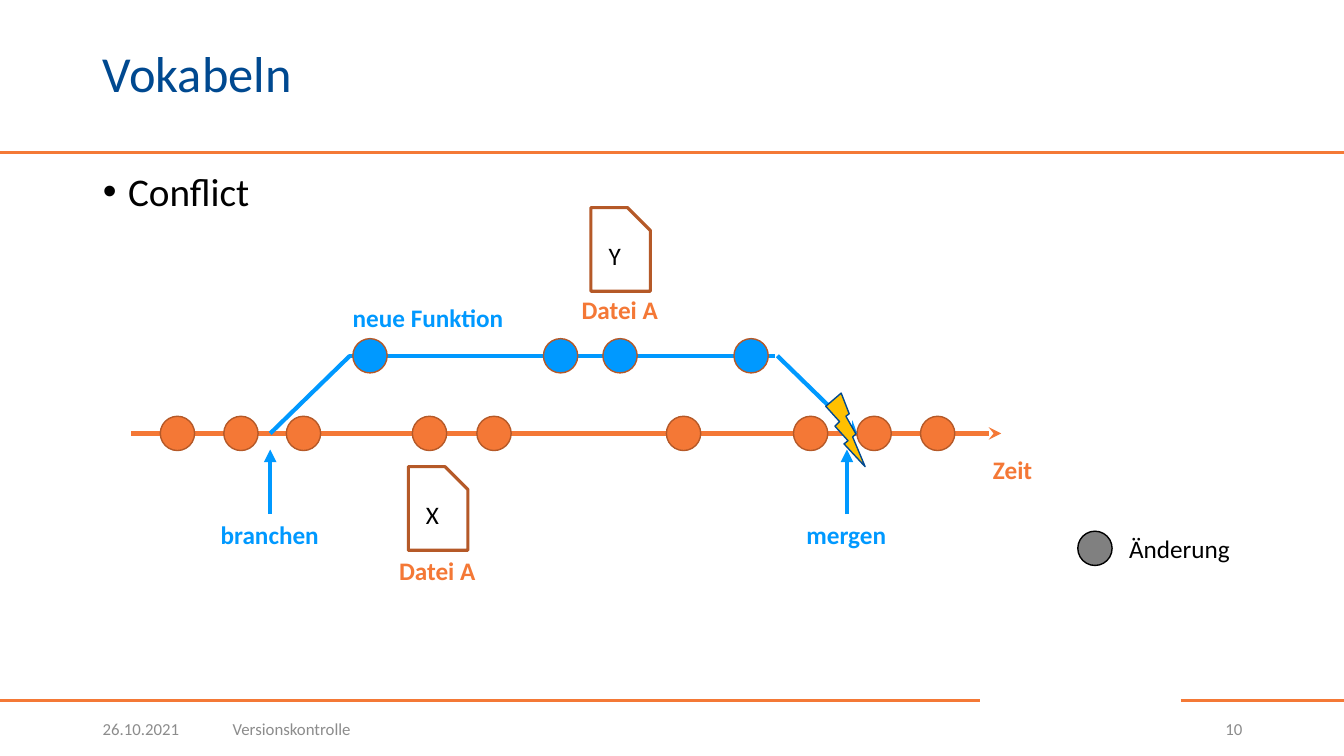
from dataclasses import dataclass
from typing import NamedTuple, Optional

from lxml.etree import SubElement
from pptx import Presentation
from pptx.dml.color import RGBColor
from pptx.enum.shapes import MSO_CONNECTOR, MSO_SHAPE
from pptx.enum.text import MSO_ANCHOR, MSO_AUTO_SIZE, PP_ALIGN
from pptx.oxml.ns import qn
from pptx.util import Pt

EMU_PER_PX = 9144  # 100 px to the inch


@dataclass(frozen=True)
class Theme:
    font: str = "Calibri"
    title: str = "004990"
    text: str = "000000"
    footer: str = "8C8C8C"
    rule: str = "F47936"
    main: str = "F47836"
    branch: str = "0099FF"
    outline: str = "B55928"
    change: str = "808080"
    paper: str = "FFFFFF"
    bolt: str = "FFC000"
    title_size: int = 36
    body_size: int = 28
    label_size: int = 18
    footer_size: int = 12


class Box(NamedTuple):
    left: int
    top: int
    width: int
    height: int


class Line(NamedTuple):
    start: tuple[int, int]
    end: tuple[int, int]
    color: str
    width: int = 3
    arrow: Optional[str] = None


class Label(NamedTuple):
    text: str
    box: Box
    color: str
    bold: bool = True


class FileVersion(NamedTuple):
    content: str
    left: int
    top: int
    label_top: int


THEME = Theme()
DOT = 34
MAIN_Y, BRANCH_Y = 430, 353
LABEL_HEIGHT = 40
MAIN_CHANGES = (159, 222, 284, 409, 473, 661, 787, 850, 913)
BRANCH_CHANGES = (350, 539, 598, 728)

RULES = (
    Line((0, 151), (1333, 151), THEME.rule, 2),
    Line((0, 695), (972, 695), THEME.rule, 2),
    Line((1171, 695), (1333, 695), THEME.rule, 2),
)
TRACKS = (
    Line((346, BRANCH_Y), (769, BRANCH_Y), THEME.branch),
    Line((130, MAIN_Y), (993, MAIN_Y), THEME.main, arrow="stealth"),
)
CROSSINGS = (
    Line((268, MAIN_Y), (347, BRANCH_Y), THEME.branch),
    Line((771, BRANCH_Y), (850, MAIN_Y), THEME.branch, arrow="stealth"),
)
LABELS = (
    Label("Zeit", Box(975, 446, 59, LABEL_HEIGHT), THEME.main),
    Label("Änderung", Box(1110, 524, 123, LABEL_HEIGHT), THEME.text, False),
    Label("neue Funktion", Box(340, 295, 171, LABEL_HEIGHT), THEME.branch),
)
ACTIONS = (
    Label("branchen", Box(209, 510, 118, LABEL_HEIGHT), THEME.branch),
    Label("mergen", Box(790, 510, 100, LABEL_HEIGHT), THEME.branch),
)
FILES = (FileVersion("Y", 586, 206, 287), FileVersion("X", 405, 463, 546))
FOOTERS = (
    ("26.10.2021", Box(92, 703, 117, 40), PP_ALIGN.LEFT),
    ("Versionskontrolle", Box(221, 703, 926, 40), PP_ALIGN.LEFT),
    ("10", Box(1163, 703, 79, 40), PP_ALIGN.RIGHT),
)


def px(value: int) -> int:
    return value * EMU_PER_PX


def place(shape, box: Box) -> None:
    shape.left, shape.top, shape.width, shape.height = map(px, box)


def write_text(shape, text: str, *, size: int = THEME.label_size, color: str = THEME.text,
               bold: bool = False, align=PP_ALIGN.LEFT, anchor=MSO_ANCHOR.TOP,
               wrap: bool = True, line_spacing: Optional[float] = None, space_before: int = 0):
    frame = shape.text_frame
    frame.word_wrap = wrap
    frame.auto_size = MSO_AUTO_SIZE.NONE if wrap else MSO_AUTO_SIZE.SHAPE_TO_FIT_TEXT
    frame.vertical_anchor = anchor
    paragraph = frame.paragraphs[0]
    paragraph.alignment = align
    paragraph.space_before = Pt(space_before)
    if line_spacing:
        paragraph.line_spacing = line_spacing
    run = paragraph.add_run()
    run.text = text
    run.font.name, run.font.size, run.font.bold = THEME.font, Pt(size), bold
    run.font.color.rgb = RGBColor.from_string(color)


def add_label(slide, label: Label):
    shape = slide.shapes.add_textbox(*map(px, label.box))
    write_text(shape, label.text, color=label.color, bold=label.bold, wrap=False)
    return shape


def add_shape(slide, kind, box: Box, fill: str, outline: str, width: float = 1):
    shape = slide.shapes.add_shape(kind, *map(px, box))
    shape.shadow.inherit = False
    shape.fill.solid()
    shape.fill.fore_color.rgb = RGBColor.from_string(fill)
    shape.line.color.rgb = RGBColor.from_string(outline)
    shape.line.width = Pt(width)
    return shape


def add_dot(slide, left: int, center_y: int, fill: str, outline: str = THEME.outline) -> None:
    add_shape(slide, MSO_SHAPE.OVAL, Box(left, center_y - DOT // 2, DOT, DOT), fill, outline)


def add_line(slide, line: Line):
    connector = slide.shapes.add_connector(
        MSO_CONNECTOR.STRAIGHT, *map(px, line.start + line.end))
    connector.line.color.rgb = RGBColor.from_string(line.color)
    connector.line.width = Pt(line.width)
    properties = connector.element.spPr
    if line.arrow:
        SubElement(properties.find(qn("a:ln")), qn("a:tailEnd"), type=line.arrow)
    SubElement(properties, qn("a:effectLst"))
    return connector


def add_file(slide, version: FileVersion) -> None:
    page = add_shape(slide, MSO_SHAPE.SNIP_1_RECTANGLE,
                     Box(version.left, version.top, 59, 83), THEME.paper, THEME.outline, 2.25)
    page.adjustments[0] = 0.384
    write_text(page, version.content, align=PP_ALIGN.CENTER, anchor=MSO_ANCHOR.MIDDLE)
    add_label(slide, Label("Datei A", Box(version.left - 19, version.label_top, 97, LABEL_HEIGHT),
                           THEME.main))


def add_action(slide, action: Label) -> None:
    label = add_label(slide, action)
    center = action.box.left + action.box.width // 2
    arrow = add_line(slide, Line((center, action.box.top), (center, 446),
                                 action.color, arrow="triangle"))
    arrow.begin_connect(label, 0)


def fill_placeholders(slide) -> None:
    title, body = slide.shapes.title, slide.placeholders[1]
    place(title, Box(92, 17, 1150, 118))
    write_text(title, "Vokabeln", size=THEME.title_size, color=THEME.title,
               anchor=MSO_ANCHOR.MIDDLE, line_spacing=0.9)
    place(body, Box(92, 166, 1150, 508))
    write_text(body, "Conflict", size=THEME.body_size, line_spacing=0.9, space_before=10)
    bullet = next(body.element.iter(qn("a:pPr")))
    bullet.set("marL", str(px(25)))
    bullet.set("indent", str(px(-25)))


def main() -> None:
    presentation = Presentation()
    presentation.slide_width, presentation.slide_height = px(1333), px(750)
    slide = presentation.slides.add_slide(presentation.slide_layouts[1])

    # Frame: title, list, rules and footer
    fill_placeholders(slide)
    for rule in RULES:
        add_line(slide, rule)
    for text, box, align in FOOTERS:
        footer = slide.shapes.add_textbox(*map(px, box))
        write_text(footer, text, size=THEME.footer_size, color=THEME.footer,
                   align=align, anchor=MSO_ANCHOR.MIDDLE)

    # Time line and branch with their changes
    for track in TRACKS:
        add_line(slide, track)
    for left in MAIN_CHANGES:
        add_dot(slide, left, MAIN_Y, THEME.main)
    for left in BRANCH_CHANGES:
        add_dot(slide, left, BRANCH_Y, THEME.branch)
    for crossing in CROSSINGS:
        add_line(slide, crossing)

    # Labels, legend and actions
    add_dot(slide, 1069, 544, THEME.change, THEME.text)
    for label in LABELS:
        add_label(slide, label)
    for action in ACTIONS:
        add_action(slide, action)

    # Conflicting file versions
    for version in FILES:
        add_file(slide, version)
    add_shape(slide, MSO_SHAPE.LIGHTNING_BOLT, Box(819, 390, 39, 73), THEME.bolt, THEME.title)

    presentation.save("out.pptx")


if __name__ == "__main__":
    main()
